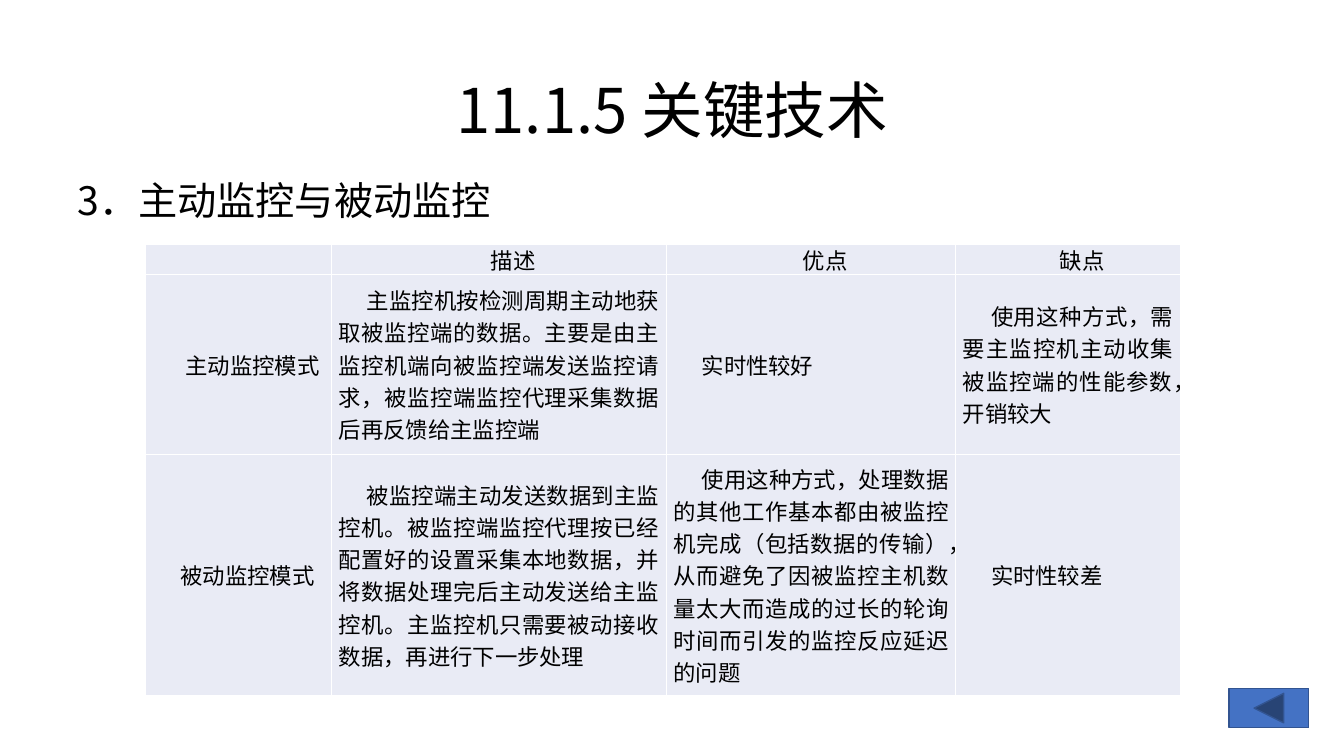
"""Build the slide that compares active and passive monitoring."""
import pptx
import pptx.dml.color
import pptx.enum.shapes
import pptx.enum.text
import pptx.oxml
import pptx.oxml.ns
import pptx.util

Inches = pptx.util.Inches
Align = pptx.enum.text.PP_ALIGN
Anchor = pptx.enum.text.MSO_ANCHOR


def color(value):
    return pptx.dml.color.RGBColor.from_string(value)


class SlideBuilder:
    font_name = "Noto Sans CJK SC"
    text_color = "000000"
    cell_fill = "E9EBF5"
    border_color = "FFFFFF"
    button_fill = "4472C4"
    button_line = "325491"

    def __init__(self, slide):
        self.slide = slide

    def format_paragraph(self, paragraph, size, alignment):
        paragraph.alignment = alignment
        for run in paragraph.runs:
            run.font.size = pptx.util.Pt(size)
            run.font.name = self.font_name
            run.font.color.rgb = color(self.text_color)
            properties = run.font._element
            east_asian = pptx.oxml.parse_xml(
                f'<a:ea {pptx.oxml.ns.nsdecls("a")} typeface="{self.font_name}"/>')
            properties.find(pptx.oxml.ns.qn("a:latin")).addnext(east_asian)

    def add_text(self, text, box, size, alignment, anchor):
        shape = self.slide.shapes.add_textbox(*map(Inches, box))
        frame = shape.text_frame
        frame.word_wrap = True
        frame.vertical_anchor = anchor
        frame.text = text
        paragraph = frame.paragraphs[0]
        paragraph.line_spacing = 0.9
        self.format_paragraph(paragraph, size, alignment)

    def add_borders(self, cell):
        properties = cell._tc.get_or_add_tcPr()
        for index, side in enumerate(("lnL", "lnR", "lnT", "lnB")):
            border = pptx.oxml.parse_xml(
                f'<a:{side} {pptx.oxml.ns.nsdecls("a")} w="12700"><a:solidFill>'
                f'<a:srgbClr val="{self.border_color}"/></a:solidFill></a:{side}>')
            properties.insert(index, border)

    def fill_cell(self, cell, text, alignment, anchor):
        cell.fill.solid()
        cell.fill.fore_color.rgb = color(self.cell_fill)
        cell.margin_left = cell.margin_right = Inches(0.07)
        cell.margin_top = cell.margin_bottom = 0
        cell.vertical_anchor = anchor
        cell.text_frame.text = text
        paragraph = cell.text_frame.paragraphs[0]
        properties = paragraph._p.get_or_add_pPr()
        properties.set("marL", "0")
        properties.set("indent", str(Inches(0.28)))
        paragraph.space_after = pptx.util.Pt(2.4)
        self.format_paragraph(paragraph, 16, alignment)
        if not text:
            paragraph.font.size = pptx.util.Pt(16)
        self.add_borders(cell)

    def add_table(self, rows, left, top, widths, heights):
        frame = self.slide.shapes.add_table(
            len(heights), len(widths), Inches(left), Inches(top),
            Inches(sum(widths)), Inches(sum(heights)))
        table = frame.table
        table.first_row = table.horz_banding = False
        for column, width in zip(table.columns, widths):
            column.width = Inches(width)
        for row, height in zip(table.rows, heights):
            row.height = Inches(height)
        for row_index, texts in enumerate(rows):
            for column_index, text in enumerate(texts):
                centered = row_index == 0 or (row_index, column_index) == (1, 0)
                self.fill_cell(
                    table.cell(row_index, column_index), text,
                    Align.CENTER if centered else Align.JUSTIFY,
                    Anchor.MIDDLE if row_index else Anchor.TOP)

    def add_back_button(self, box):
        kind = pptx.enum.shapes.MSO_SHAPE.ACTION_BUTTON_BACK_OR_PREVIOUS
        shape = self.slide.shapes.add_shape(kind, *map(Inches, box))
        shape.shadow.inherit = False
        shape.fill.solid()
        shape.fill.fore_color.rgb = color(self.button_fill)
        shape.line.color.rgb = color(self.button_line)
        shape.line.width = pptx.util.Pt(1)


MONITORING_MODES = [
    ["", "描述", "优点", "缺点"],
    ["主动监控模式",
     "主监控机按检测周期主动地获取被监控端的数据。主要是由主监控机端向被监控端发送监控请求，"
     "被监控端监控代理采集数据后再反馈给主监控端",
     "实时性较好",
     "使用这种方式，需要主监控机主动收集被监控端的性能参数，开销较大"],
    ["被动监控模式",
     "被监控端主动发送数据到主监控机。被监控端监控代理按已经配置好的设置采集本地数据，"
     "并将数据处理完后主动发送给主监控机。主监控机只需要被动接收数据，再进行下一步处理",
     "使用这种方式，处理数据的其他工作基本都由被监控机完成（包括数据的传输），"
     "从而避免了因被监控主机数量太大而造成的过长的轮询时间而引发的监控反应延迟的问题",
     "实时性较差"],
]


def main():
    presentation = pptx.Presentation()
    presentation.slide_width = Inches(13.33)
    presentation.slide_height = Inches(7.5)
    builder = SlideBuilder(presentation.slides.add_slide(presentation.slide_layouts[6]))
    builder.add_text("11.1.5 关键技术", (0.92, 0.4, 11.5, 1.45), 44,
                     Align.CENTER, Anchor.MIDDLE)
    builder.add_text("3．主动监控与被动监控", (0.67, 1.75, 12, 5.15), 28,
                     Align.LEFT, Anchor.TOP)
    builder.add_table(MONITORING_MODES, 1.44, 2.42,
                      (1.85, 3.32, 2.87, 2.23), (0.3, 1.79, 2.39))
    builder.add_back_button((12.19, 6.83, 0.79, 0.39))
    presentation.save("out.pptx")


if __name__ == "__main__":
    main()
